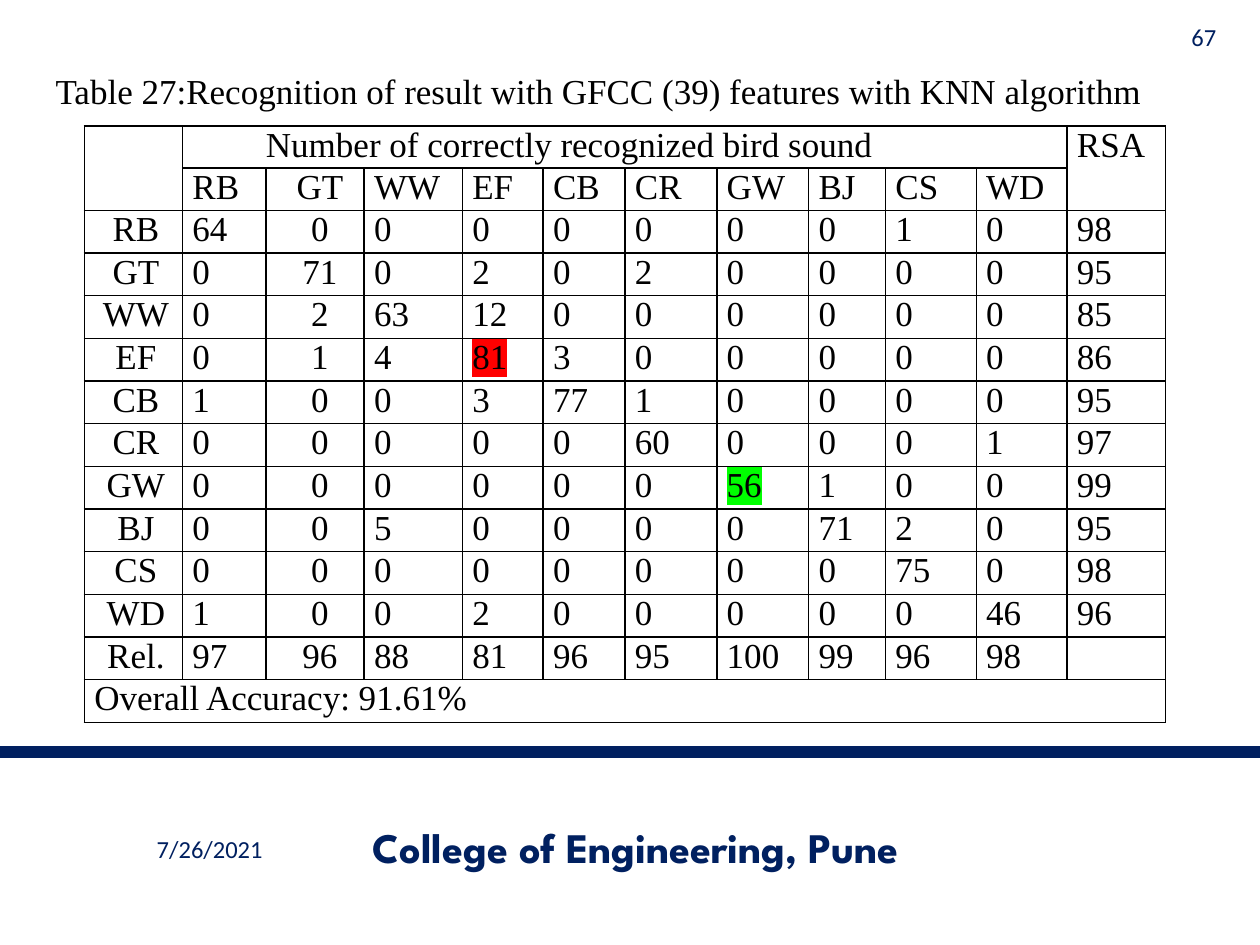
from lxml import etree
from pptx import Presentation
from pptx.dml.color import RGBColor
from pptx.enum.shapes import MSO_CONNECTOR
from pptx.enum.text import MSO_ANCHOR, PP_ALIGN
from pptx.oxml.ns import qn
from pptx.util import Cm, Pt

LEFT, CENTER, RIGHT = PP_ALIGN.LEFT, PP_ALIGN.CENTER, PP_ALIGN.RIGHT
TOP, MIDDLE = MSO_ANCHOR.TOP, MSO_ANCHOR.MIDDLE
STRAIGHT = MSO_CONNECTOR.STRAIGHT
NAVY = RGBColor(0x00, 0x20, 0x60)
BLACK = RGBColor(0x00, 0x00, 0x00)
WHITE = RGBColor(0xFF, 0xFF, 0xFF)
RED = RGBColor(0xFF, 0x00, 0x00)
GREEN = RGBColor(0x00, 0xFF, 0x00)
SERIF = "Times New Roman"

# Content
CAPTION = "Table 27:Recognition of result with GFCC (39) features with KNN algorithm"
GROUP_HEADING = "Number of correctly recognized bird sound"
ACCURACY = "Overall Accuracy: 91.61%"
BIRDS = ["RB", "GT", "WW", "EF", "CB", "CR", "GW", "BJ", "CS", "WD"]
COUNTS = [
    [64, 0, 0, 0, 0, 0, 0, 0, 1, 0],
    [0, 71, 0, 2, 0, 2, 0, 0, 0, 0],
    [0, 2, 63, 12, 0, 0, 0, 0, 0, 0],
    [0, 1, 4, 81, 3, 0, 0, 0, 0, 0],
    [1, 0, 0, 3, 77, 1, 0, 0, 0, 0],
    [0, 0, 0, 0, 0, 60, 0, 0, 0, 1],
    [0, 0, 0, 0, 0, 0, 56, 1, 0, 0],
    [0, 0, 5, 0, 0, 0, 0, 71, 2, 0],
    [0, 0, 0, 0, 0, 0, 0, 0, 75, 0],
    [1, 0, 0, 2, 0, 0, 0, 0, 0, 46],
]
RSA = [98, 95, 85, 86, 95, 97, 99, 95, 98, 96]
RELIABILITY = [97, 96, 88, 81, 96, 95, 100, 99, 96, 98]
HIGHLIGHTS = {("EF", "EF"): RED, ("GW", "GW"): GREEN}

# Text, left, top, width, height (cm), font, size, bold, alignment
FOOTER_TEXTS = [
    ("7/26/2021", 1.27, 16.59, 5.92, 1.02, "Calibri", 14, False, CENTER),
    ("College of Engineering, Pune", 6.15, 16.56, 13.34, 1.02,
     "League Spartan", 24, True, CENTER),
    ("67", 23.5, 0.38, 1.27, 0.71, "Calibri", 14, False, RIGHT),
]

# Table geometry (cm)
COLUMN_WIDTHS = [1.98, 1.68, 1.98, 1.98, 1.63, 1.65, 1.85, 1.85, 1.55, 1.83, 1.83, 1.98]
HEADER_ROWS = 2
HEADER_HEIGHT, ROW_HEIGHT = 0.85, 0.86
CELL_INDENT, LABEL_INDENT, HEADING_INDENT = 0.2, 0.1, 1.68


def write(frame, text, font, size, color, bold=False, align=LEFT):
    para = frame.paragraphs[0]
    para.alignment = align
    span = para.add_run()
    span.text = text
    span.font.name = font
    span.font.size = Pt(size)
    span.font.bold = bold
    span.font.color.rgb = color
    return span


def highlight(span, color):
    mark = etree.Element(qn("a:highlight"))
    etree.SubElement(mark, qn("a:srgbClr")).set("val", str(color))
    span.font.fill._xPr.find(qn("a:solidFill")).addnext(mark)


def add_borders(cell):
    properties = cell._tc.get_or_add_tcPr()
    for position, side in enumerate(("a:lnL", "a:lnR", "a:lnT", "a:lnB")):
        border = etree.Element(qn(side), w=str(Pt(1)))
        fill = etree.SubElement(border, qn("a:solidFill"))
        etree.SubElement(fill, qn("a:srgbClr")).set("val", str(BLACK))
        properties.insert(position, border)


def add_result_table(page):
    rows = [["", GROUP_HEADING] + [""] * 9 + ["RSA"], [""] + BIRDS + [""]]
    rows += [[bird, *counts, rsa] for bird, counts, rsa in zip(BIRDS, COUNTS, RSA)]
    rows += [["Rel.", *RELIABILITY, ""], [ACCURACY] + [""] * 11]
    last_row, last_column = len(rows) - 1, len(COLUMN_WIDTHS) - 1
    heights = [HEADER_HEIGHT if r < HEADER_ROWS else ROW_HEIGHT for r in range(len(rows))]

    frame = page.shapes.add_table(len(rows), len(COLUMN_WIDTHS), Cm(1.7), Cm(2.54),
                                  Cm(sum(COLUMN_WIDTHS)), Cm(sum(heights)))
    table = frame.table
    table.first_row = table.horz_banding = False
    for column, width in zip(table.columns, COLUMN_WIDTHS):
        column.width = Cm(width)
    for row, height in zip(table.rows, heights):
        row.height = Cm(height)

    for r, values in enumerate(rows):
        for c, value in enumerate(values):
            cell = table.cell(r, c)
            cell.fill.solid()
            cell.fill.fore_color.rgb = WHITE
            add_borders(cell)
            is_label = c == 0 and r < last_row
            indent = LABEL_INDENT if is_label else CELL_INDENT
            cell.margin_left = Cm(HEADING_INDENT if value == GROUP_HEADING else indent)
            cell.margin_right = cell.margin_top = cell.margin_bottom = 0
            if value == "":
                continue
            centered = is_label or (c == 2 and r > 0)
            span = write(cell.text_frame, str(value), SERIF, 20, BLACK,
                         align=CENTER if centered else LEFT)
            color = HIGHLIGHTS.get((values[0], rows[1][c]))
            if color is not None:
                highlight(span, color)

    # Merged areas: corner, group heading, RSA heading, accuracy line
    for first, last in [((0, 0), (1, 0)), ((0, 1), (0, last_column - 1)),
                        ((0, last_column), (1, last_column)),
                        ((last_row, 0), (last_row, last_column))]:
        table.cell(*first).merge(table.cell(*last))


def main():
    deck = Presentation()
    deck.slide_width, deck.slide_height = Cm(25.4), Cm(19.05)
    page = deck.slides.add_slide(deck.slide_layouts[5])

    # Footer rule
    rule = page.shapes.add_connector(STRAIGHT, 0, Cm(15.16), deck.slide_width, Cm(15.16))
    rule.line.color.rgb = NAVY
    rule.line.width = Pt(6.5)
    etree.SubElement(rule._element.spPr, qn("a:effectLst"))

    # Date, college and page number
    for text, left, top, width, height, font, size, bold, align in FOOTER_TEXTS:
        box = page.shapes.add_textbox(Cm(left), Cm(top), Cm(width), Cm(height))
        box.text_frame.word_wrap = True
        box.text_frame.vertical_anchor = MIDDLE
        write(box.text_frame, text, font, size, NAVY, bold, align)

    # Caption
    title = page.shapes.title
    title.left, title.top, title.width, title.height = Cm(0.64), Cm(1.27), Cm(22.86), Cm(1.11)
    title.text_frame.word_wrap = True
    title.text_frame.vertical_anchor = TOP
    write(title.text_frame, CAPTION, SERIF, 20, BLACK, align=CENTER)

    add_result_table(page)
    deck.save("out.pptx")


if __name__ == "__main__":
    main()
